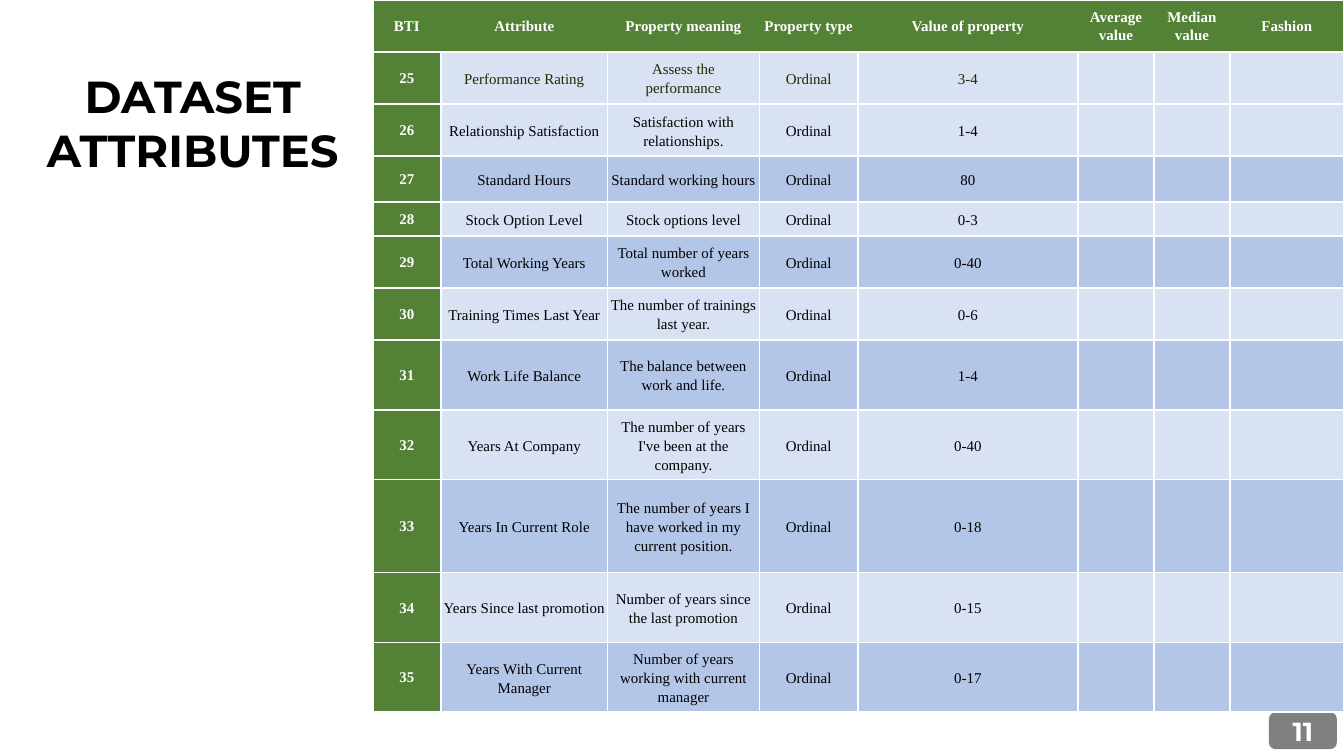
from pptx import Presentation
from pptx.dml.color import RGBColor
from pptx.enum.shapes import MSO_SHAPE
from pptx.enum.text import MSO_ANCHOR, PP_ALIGN
from pptx.oxml.ns import qn
from pptx.util import Pt
from lxml.etree import SubElement

WHITE = RGBColor(0xFF, 0xFF, 0xFF)
BLACK = RGBColor(0x00, 0x00, 0x00)
GREEN = RGBColor(0x53, 0x81, 0x35)
OLIVE = RGBColor(0x20, 0x29, 0x00)
PALE_BLUE = RGBColor(0xD9, 0xE2, 0xF3)
MID_BLUE = RGBColor(0xB4, 0xC6, 0xE7)
GREY = RGBColor(0x80, 0x80, 0x80)

HEADINGS = ["BTI", "Attribute", "Property meaning", "Property type",
            "Value of property", "Average value", "Median value", "Fashion"]
PROPERTY_TYPE = "Ordinal"
FIRST_NUMBER = 25
# attribute, meaning, value, row height
ATTRIBUTES = [
    ("Performance Rating", "Assess the performance", "3-4", 27.9),
    ("Relationship Satisfaction", "Satisfaction with relationships.", "1-4", 27.9),
    ("Standard Hours", "Standard working hours", "80", 24.5),
    ("Stock Option Level", "Stock options level", "0-3", 18.2),
    ("Total Working Years", "Total number of years worked", "0-40", 27.9),
    ("Training Times Last Year", "The number of trainings last year.", "0-6", 27.9),
    ("Work Life Balance", "The balance between work and life.", "1-4", 37.4),
    ("Years At Company", "The number of years I've been at the company.", "0-40", 37.4),
    ("Years In Current Role",
     "The number of years I have worked in my current position.", "0-18", 49.8),
    ("Years Since last promotion", "Number of years since the last promotion", "0-15", 37.4),
    ("Years With Current Manager", "Number of years working with current manager", "0-17", 37.4),
]
HEADER_HEIGHT = 27.9
COLUMN_WIDTHS = [36.6, 89.2, 81.4, 52.7, 118, 40.7, 40.7, 61]


def add_run(paragraph, text, font_name, size, color, bold):
    run = paragraph.add_run()
    run.text = text
    run.font.name = font_name
    run.font.size = Pt(size)
    run.font.color.rgb = color
    run.font.bold = bold


def add_title(slide, left, top, width, height):
    title = slide.shapes.add_textbox(Pt(left), Pt(top), Pt(width), Pt(height))
    frame = title.text_frame
    frame.word_wrap = True
    frame.vertical_anchor = MSO_ANCHOR.MIDDLE
    frame.margin_left = frame.margin_right = Pt(7.2)
    frame.margin_top = frame.margin_bottom = Pt(7.2)
    frame.paragraphs[0].alignment = PP_ALIGN.CENTER
    add_run(frame.paragraphs[0], "DATASET ATTRIBUTES", "Montserrat", 24, BLACK, True)


def add_page_number(slide, left, top, width, height):
    badge = slide.shapes.add_shape(
        MSO_SHAPE.ROUNDED_RECTANGLE, Pt(left), Pt(top), Pt(width), Pt(height))
    badge.shadow.inherit = False
    badge.fill.solid()
    badge.fill.fore_color.rgb = GREY
    badge.line.fill.background()
    frame = badge.text_frame
    frame.vertical_anchor = MSO_ANCHOR.MIDDLE
    frame.paragraphs[0].alignment = PP_ALIGN.CENTER
    add_run(frame.paragraphs[0], "11", "Montserrat", 14, WHITE, True)


def set_borders(cell, sides):
    """Draw white lines on the given sides (letters of LRTB), none on the rest."""
    properties = cell._tc.get_or_add_tcPr()
    for side in "LRTB":
        line = SubElement(properties, qn(f"a:ln{side}"), w=str(Pt(1)))
        if side in sides:
            fill = SubElement(line, qn("a:solidFill"))
            SubElement(fill, qn("a:srgbClr"), val=str(WHITE))
        else:
            SubElement(line, qn("a:noFill"))


def fill_cell(cell, text, fill, color, bold, inset, spacing, sides="LRTB"):
    set_borders(cell, sides)
    cell.fill.solid()
    cell.fill.fore_color.rgb = fill
    cell.vertical_anchor = MSO_ANCHOR.MIDDLE
    cell.margin_left = cell.margin_right = Pt(inset)
    cell.margin_top = cell.margin_bottom = Pt(0)
    paragraph = cell.text_frame.paragraphs[0]
    paragraph.alignment = PP_ALIGN.CENTER
    paragraph.line_spacing = spacing
    if text:
        add_run(paragraph, text, "Times New Roman", 8, color, bold)
    else:  # keeps the empty line from stretching the row
        SubElement(paragraph._p, qn("a:endParaRPr"), sz="800")


def add_attribute_table(slide, left, top):
    heights = [HEADER_HEIGHT] + [entry[-1] for entry in ATTRIBUTES]
    table = slide.shapes.add_table(
        len(heights), len(HEADINGS), Pt(left), Pt(top),
        Pt(sum(COLUMN_WIDTHS)), Pt(sum(heights))).table
    for column, width in zip(table.columns, COLUMN_WIDTHS):
        column.width = Pt(width)
    for row, height in zip(table.rows, heights):
        row.height = Pt(height)

    last = len(HEADINGS) - 1
    for col, heading in enumerate(HEADINGS):
        sides = "TB" + ("L" if col == 0 else "") + ("R" if col == last else "")
        fill_cell(table.cell(0, col), heading, GREEN, WHITE, True, 0.7, 1.07, sides)

    for index, (attribute, meaning, value, _) in enumerate(ATTRIBUTES):
        is_first = index == 0
        band = PALE_BLUE if is_first or index % 2 else MID_BLUE
        color = OLIVE if is_first else BLACK
        inset = 5 if is_first else 0.7
        row = index + 1
        fill_cell(table.cell(row, 0), str(FIRST_NUMBER + index),
                  GREEN, WHITE, True, inset, 1.07)
        details = [attribute, meaning, PROPERTY_TYPE, value, "", "", ""]
        for col, text in enumerate(details, start=1):
            fill_cell(table.cell(row, col), text, band, color, False, inset, 1.15)


def main():
    presentation = Presentation()
    presentation.slide_width = Pt(720)
    presentation.slide_height = Pt(405)
    slide = presentation.slides.add_slide(presentation.slide_layouts[6])
    add_title(slide, -16, 47, 238.5, 37.5)
    add_page_number(slide, 679.8, 381.8, 36.3, 19.5)
    add_attribute_table(slide, 199.7, 0)
    presentation.save("out.pptx")


if __name__ == "__main__":
    main()
